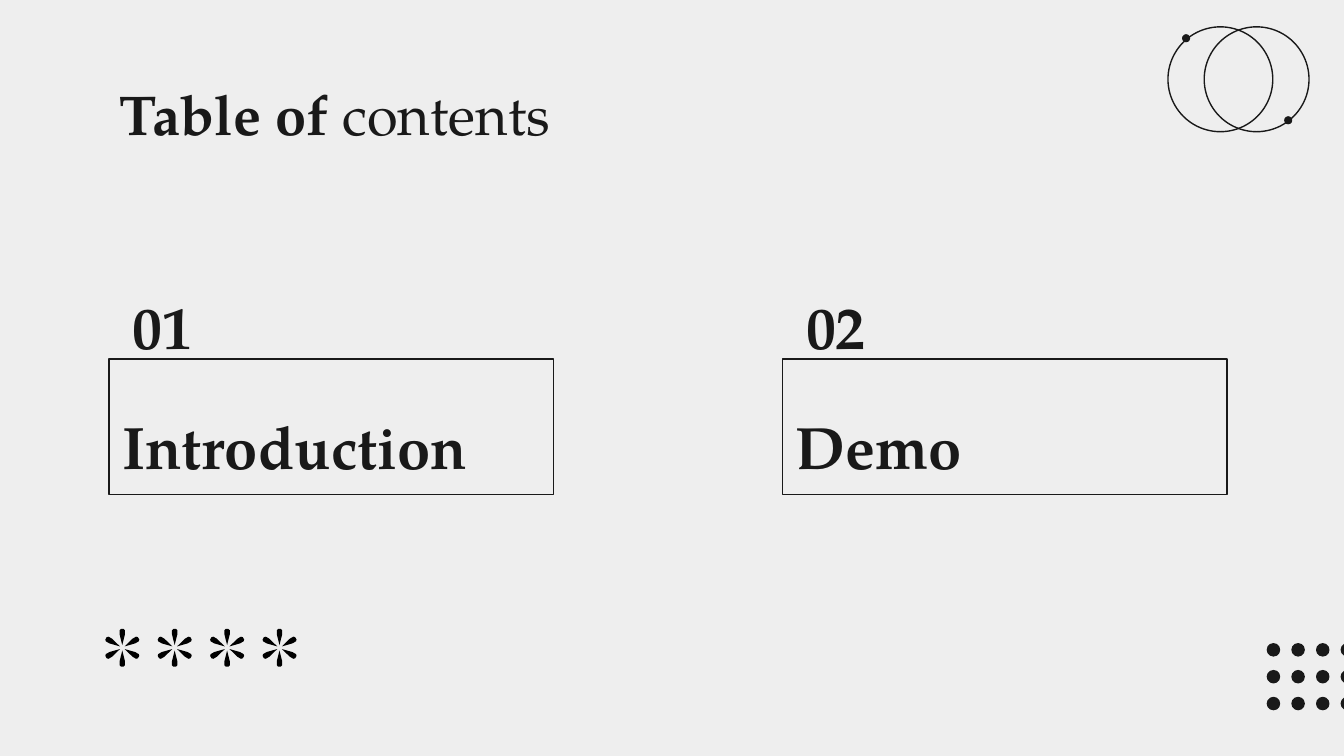
from math import cos, pi, sin

from pptx import Presentation
from pptx.dml.color import RGBColor
from pptx.enum.shapes import MSO_SHAPE
from pptx.enum.text import MSO_ANCHOR, PP_ALIGN
from pptx.util import Inches, Pt

COLORS = {"background": "EEEEEE", "ink": "191919", "star": "000000"}
FONT = "TeX Gyre Pagella"
SECTIONS = [("01", "Introduction"), ("02", "Demo")]
# Half outline of a petal: distance from the star's centre, half width
PETAL = [(0.02, 0), (0.06, 0.01), (0.1, 0.02), (0.12, 0.02), (0.13, 0.02), (0.14, 0.01)]


def color(name):
    return RGBColor.from_string(COLORS[name])


def style(shape, fill=None, line=None):
    shape.shadow.inherit = False
    if fill:
        shape.fill.solid()
        shape.fill.fore_color.rgb = color(fill)
    else:
        shape.fill.background()
    if line:
        shape.line.color.rgb = color(line)
        shape.line.width = Pt(0.75)
    else:
        shape.line.fill.background()


def add_preset(shapes, preset, left, top, width, height, fill=None):
    shape = shapes.add_shape(
        preset, Inches(left), Inches(top), Inches(width), Inches(height))
    style(shape, fill, "ink")
    return shape


def write(shape, runs, size, anchor, align=PP_ALIGN.LEFT):
    """Fill a shape with one paragraph of (text, bold) runs."""
    frame = shape.text_frame
    frame.word_wrap = True
    frame.vertical_anchor = anchor
    frame.margin_left = frame.margin_right = Inches(0.1)
    frame.margin_top = frame.margin_bottom = Inches(0.1)
    paragraph = frame.paragraphs[0]
    paragraph.alignment = align
    for text, bold in runs:
        run = paragraph.add_run()
        run.text = text
        run.font.name = FONT
        run.font.size = Pt(size)
        run.font.bold = bold
        run.font.color.rgb = color("ink")


def add_title(slide, left, top, width, height):
    title = slide.shapes.add_textbox(
        Inches(left), Inches(top), Inches(width), Inches(height))
    write(title, [("Table of ", True), ("contents", False)], 30, MSO_ANCHOR.TOP)


def add_section(slide, left, top, number, name):
    number_height = 0.49
    number_box = slide.shapes.add_textbox(
        Inches(left), Inches(top), Inches(0.8), Inches(number_height))
    write(number_box, [(number, True)], 32, MSO_ANCHOR.MIDDLE, PP_ALIGN.CENTER)
    name_box = add_preset(
        slide.shapes, MSO_SHAPE.RECTANGLE, left, top + number_height, 3.31, 1.01)
    write(name_box, [(name, True)], 32, MSO_ANCHOR.BOTTOM)


def add_dot_grid(slide, left, top, columns=4, rows=3):
    grid = slide.shapes.add_group_shape()
    for column in range(columns):
        for row in range(rows):
            add_preset(grid.shapes, MSO_SHAPE.OVAL, left + column * 0.55 / 3,
                       top + row * 0.2, 0.09, 0.09, "ink")


def add_linked_rings(slide, left, top):
    rings = slide.shapes.add_group_shape()
    for x in (0, 0.27):
        add_preset(rings.shapes, MSO_SHAPE.OVAL, left + x, top, 0.78, 0.78)
    for x, y in ((0.11, 0.06), (0.87, 0.67)):
        add_preset(rings.shapes, MSO_SHAPE.OVAL, left + x, top + y, 0.05, 0.05, "ink")


def add_star(shapes, center_x, center_y, petals=6):
    outline = PETAL + [(r, -half) for r, half in reversed(PETAL[1:])]
    for petal in range(petals):
        angle = pi / 2 + petal * 2 * pi / petals
        points = [
            (Inches(center_x + r * cos(angle) - half * sin(angle)),
             Inches(center_y + r * sin(angle) + half * cos(angle)))
            for r, half in outline]
        builder = shapes.build_freeform(*points[0])
        builder.add_line_segments(points[1:], close=True)
        style(builder.convert_to_shape(), "star")


def add_star_row(slide, center_x, center_y, count=4):
    row = slide.shapes.add_group_shape()
    for index in range(count):
        add_star(row.shapes, center_x + index * 0.39, center_y)


def main():
    presentation = Presentation()
    presentation.slide_width = Inches(10)
    presentation.slide_height = presentation.slide_width * 9 // 16
    slide = presentation.slides.add_slide(presentation.slide_layouts[6])
    slide.background.fill.solid()
    slide.background.fill.fore_color.rgb = color("background")

    add_dot_grid(slide, 9.43, 4.79)
    add_title(slide, 0.79, 0.49, 8.43, 0.63)
    for index, (number, name) in enumerate(SECTIONS):
        add_section(slide, 0.81 + index * 5.01, 2.18, number, name)
    add_linked_rings(slide, 8.69, 0.2)
    add_star_row(slide, 0.91, 4.82)
    presentation.save("out.pptx")


if __name__ == "__main__":
    main()
